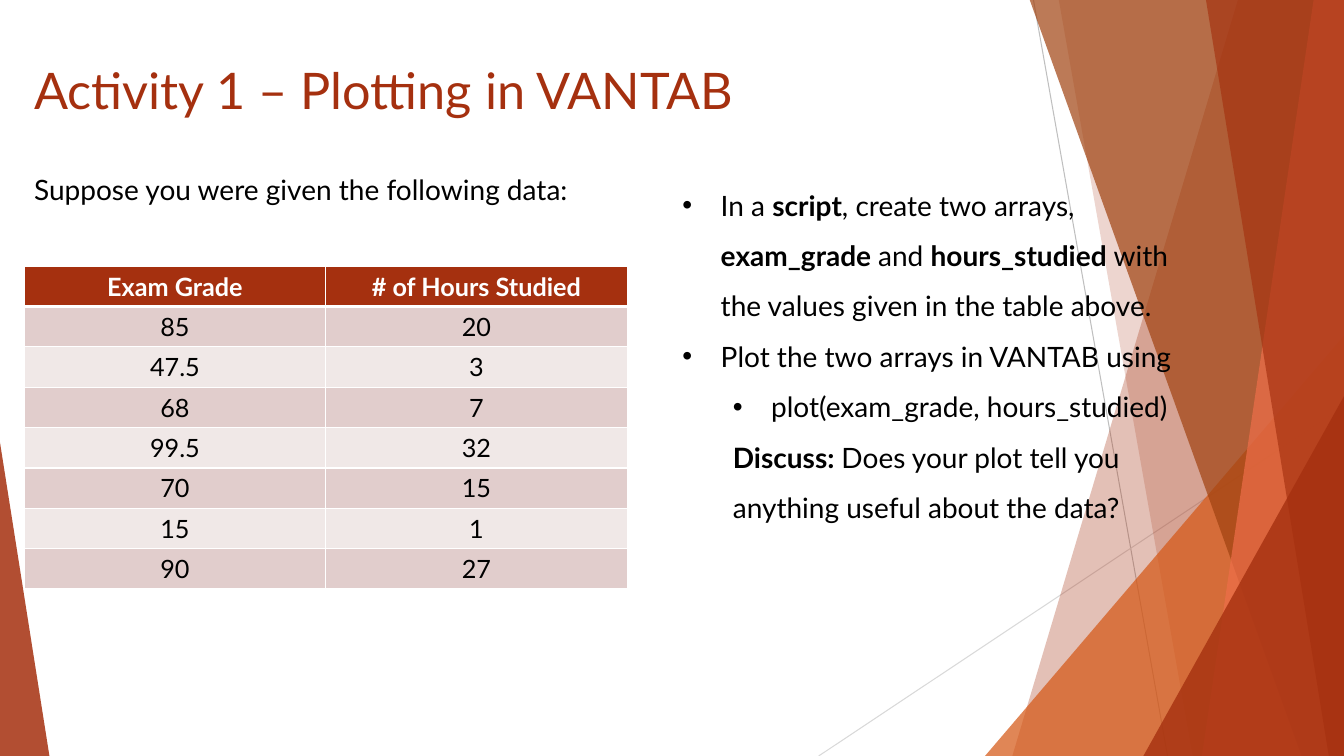
import pptx
import pptx.util
import pptx.dml.color
import pptx.enum.shapes
import pptx.enum.text
import pptx.oxml
import pptx.oxml.ns
from lxml import etree

Inches, Pt = pptx.util.Inches, pptx.util.Pt
RGBColor = pptx.dml.color.RGBColor
qn = pptx.oxml.ns.qn

RUST = RGBColor(0xA5, 0x30, 0x0F)
ORANGE = RGBColor(0xD5, 0x58, 0x16)
BROWN = RGBColor(0xA0, 0x42, 0x10)
CORAL = RGBColor(0xEE, 0x6E, 0x4A)
GREY = RGBColor(0xBF, 0xBF, 0xBF)
PALE_GREY = RGBColor(0xD9, 0xD9, 0xD9)
DARK_BAND = RGBColor(0xE1, 0xCD, 0xCC)
LIGHT_BAND = RGBColor(0xF0, 0xE8, 0xE7)
BLACK = RGBColor(0, 0, 0)
WHITE = RGBColor(0xFF, 0xFF, 0xFF)
FONT = "Lato"
WIDTH, HEIGHT, FACET_TOP = 13.33, 7.5, -0.01

TITLE = "Activity 1 – Plotting in VANTAB"
INTRO = "Suppose you were given the following data:"
TABLE_ROWS = [
    ("Exam Grade", "# of Hours Studied"),
    ("85", "20"), ("47.5", "3"), ("68", "7"), ("99.5", "32"),
    ("70", "15"), ("15", "1"), ("90", "27"),
]
# level, left margin, first-line indent, bulleted, runs of (text, bold)
TASKS = [
    (0, 0.38, -0.38, True, [
        ("In a ", False), ("script", True), (", create two arrays, ", False),
        ("exam_grade ", True), ("and ", False), ("hours_studied ", True),
        ("with the values given in the table above.", False)]),
    (0, 0.38, -0.38, True, [("Plot the two arrays in VANTAB using", False)]),
    (1, 0.88, -0.38, True, [("plot(exam_grade, hours_studied)", False)]),
    (1, 0.5, 0, False, [
        ("Discuss: ", True),
        ("Does your plot tell you anything useful about the data?", False)]),
]
# start, end, colour
RAYS = [((10.25, 0), (11.58, HEIGHT), GREY),
        ((WIDTH, 4.03), (8.12, HEIGHT), PALE_GREY)]
# "band": left edge at the top and at the bottom, reaching the right edge
# "triangle": left, top, width, apex position
FACETS = [
    ("band", (12.28, 10.04), RUST, 30),
    ("band", (10.5, 11.83), RUST, 20),
    ("triangle", (9.77, 3.33, 3.56, 1), ORANGE, 72),
    ("band", (10.21, 12.91), BROWN, 70),
    ("band", (13.03, 11.92), CORAL, 70),
    ("band", (11.96, 13.18), RUST, 65),
    ("triangle", (11.34, 3.93, 1.99, 1), RUST, 80),
    ("triangle", (0, 4.39, 0.49, 0), RUST, 85),
]


def add_ray(page, start, end, color):
    ray = page.shapes.add_connector(
        pptx.enum.shapes.MSO_CONNECTOR.STRAIGHT,
        *(Inches(value) for value in start + end))
    ray.line.color.rgb = color
    ray.line.width = Pt(0.75)
    etree.SubElement(ray._element.spPr, qn("a:effectLst"))


def add_facet(page, kind, geometry, color, opacity):
    if kind == "band":
        top_left, bottom_left = geometry
        builder = page.shapes.build_freeform(
            Inches(top_left), Inches(FACET_TOP))
        corners = [(WIDTH, FACET_TOP), (WIDTH, HEIGHT), (bottom_left, HEIGHT)]
        builder.add_line_segments(
            [(Inches(x), Inches(y)) for x, y in corners], close=True)
        facet = builder.convert_to_shape()
    else:
        left, top, width, apex = geometry
        facet = page.shapes.add_shape(
            pptx.enum.shapes.MSO_SHAPE.ISOSCELES_TRIANGLE,
            Inches(left), Inches(top), Inches(width), Inches(HEIGHT - top))
        facet.adjustments[0] = apex
    facet.shadow.inherit = False
    facet.line.fill.background()
    facet.fill.solid()
    facet.fill.fore_color.rgb = color
    tint = facet._element.spPr.find(qn("a:solidFill")).find(qn("a:srgbClr"))
    etree.SubElement(tint, qn("a:alpha"), val=str(opacity * 1000))


def add_box(page, left, top, width, height):
    box = page.shapes.add_textbox(
        Inches(left), Inches(top), Inches(width), Inches(height))
    box.text_frame.word_wrap = True
    return box.text_frame


def add_span(para, text, size, color, bold=False):
    span = para.add_run()
    span.text = text
    span.font.name = FONT
    span.font.size = Pt(size)
    span.font.bold = bold
    span.font.color.rgb = color


def add_border(cell, side, points):
    edge = etree.SubElement(cell._tc.get_or_add_tcPr(), qn("a:" + side),
                            w=str(Pt(points)))
    paint = etree.SubElement(edge, qn("a:solidFill"))
    etree.SubElement(paint, qn("a:srgbClr"), val=str(WHITE))


def add_data_table(page):
    row_height = 0.4
    table = page.shapes.add_table(
        len(TABLE_ROWS), 2, Inches(0.24), Inches(2.64), Inches(5.98),
        Inches(row_height * len(TABLE_ROWS))).table
    table.horz_banding = False
    for r, values in enumerate(TABLE_ROWS):
        header = r == 0
        band = RUST if header else DARK_BAND if r % 2 else LIGHT_BAND
        for c, value in enumerate(values):
            cell = table.cell(r, c)
            add_border(cell, "lnL", 1)
            add_border(cell, "lnR", 1)
            add_border(cell, "lnT", 3 if r == 1 else 1)
            add_border(cell, "lnB", 3 if header else 1)
            cell.fill.solid()
            cell.fill.fore_color.rgb = band
            para = cell.text_frame.paragraphs[0]
            para.alignment = pptx.enum.text.PP_ALIGN.CENTER
            add_span(para, value, 18, WHITE if header else BLACK, header)


def add_tasks(page):
    frame = add_box(page, 6.67, 1.65, 5.11, 4.58)
    for i, (level, margin, indent, bulleted, spans) in enumerate(TASKS):
        para = frame.add_paragraph() if i else frame.paragraphs[0]
        para.level = level
        para.line_spacing = 1.5
        properties = para._p.get_or_add_pPr()
        properties.set("marL", str(Inches(margin)))
        properties.set("indent", str(Inches(indent)))
        if bulleted:
            etree.SubElement(properties, qn("a:buFont"), typeface="Arial")
            etree.SubElement(properties, qn("a:buChar"), char="•")
        else:
            etree.SubElement(properties, qn("a:buNone"))
        for text, bold in spans:
            add_span(para, text, 20, BLACK, bold)


def main():
    deck = pptx.Presentation()
    deck.slide_width, deck.slide_height = Inches(WIDTH), Inches(HEIGHT)
    page = deck.slides.add_slide(deck.slide_layouts[6])
    for ray in RAYS:
        add_ray(page, *ray)
    for facet in FACETS:
        add_facet(page, *facet)

    title = add_box(page, 0.24, 0.2, 9.4, 1.44)
    title.vertical_anchor = pptx.enum.text.MSO_ANCHOR.MIDDLE
    title.paragraphs[0].line_spacing = 0.9
    add_span(title.paragraphs[0], TITLE, 36, RUST)

    add_data_table(page)
    intro = add_box(page, 0.24, 1.66, 5.66, 0.44)
    add_span(intro.paragraphs[0], INTRO, 20, BLACK)
    add_tasks(page)
    deck.save("out.pptx")


if __name__ == "__main__":
    main()
